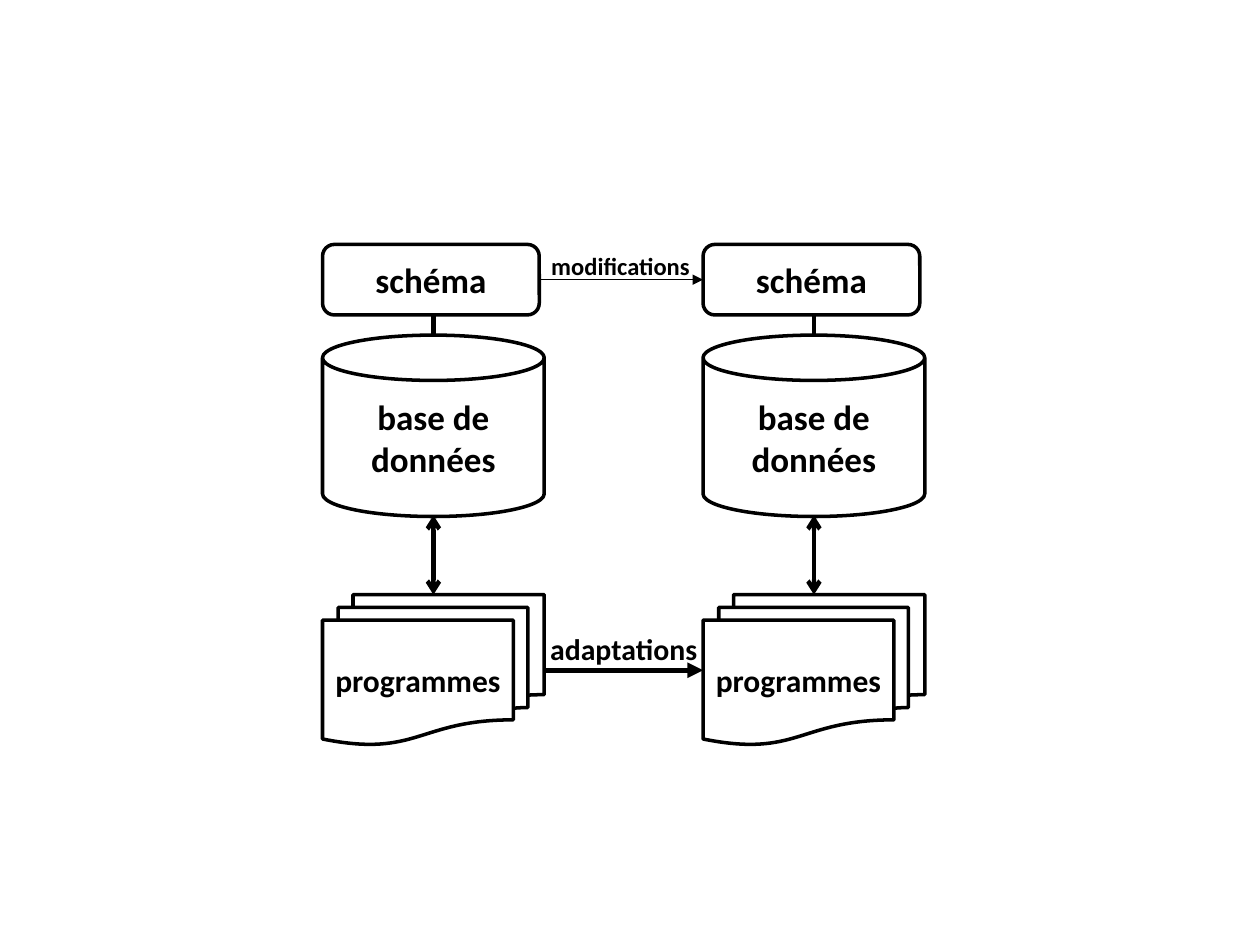
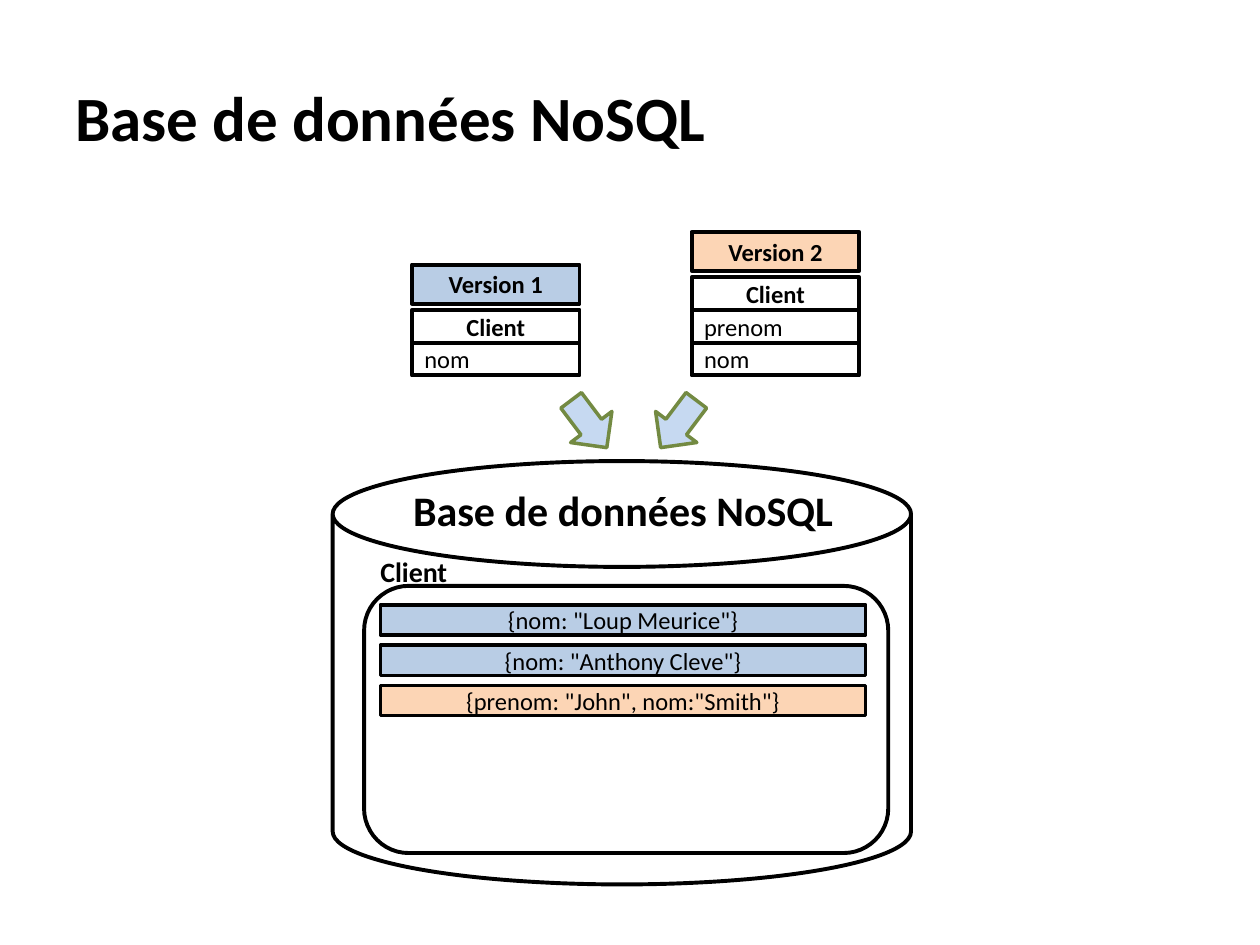
"""Build two slides on schema evolution and a NoSQL database."""
import dataclasses

import lxml.etree
import pptx
import pptx.dml.color
import pptx.enum.shapes
import pptx.enum.text
import pptx.oxml.ns
import pptx.util

Inches = pptx.util.Inches
Pt = pptx.util.Pt
Shape = pptx.enum.shapes.MSO_SHAPE
Align = pptx.enum.text.PP_ALIGN
Anchor = pptx.enum.text.MSO_ANCHOR


@dataclasses.dataclass(frozen=True)
class Theme:
    font: str = "Calibri"
    black: str = "000000"
    white: str = "FFFFFF"
    blue: str = "B9CDE5"
    orange: str = "FCD5B5"
    arrow_fill: str = "C6D9F1"
    arrow_line: str = "738A42"
    title_size: float = 36
    database_size: float = 24
    box_size: float = 20
    program_size: float = 18
    adaptation_size: float = 17
    collection_size: float = 16
    small_size: float = 14
    thin: float = 0.75
    outline: float = 2
    frame: float = 2.25
    link: float = 2.5
    bold_arrow: float = 3


class Deck:
    def __init__(self, theme):
        self.theme = theme
        self.presentation = pptx.Presentation()
        self.presentation.slide_width = Inches(10)
        self.presentation.slide_height = Inches(7.5)
        self.slide = None

    def new_slide(self):
        self.slide = self.presentation.slides.add_slide(self.presentation.slide_layouts[6])

    def add_label(self, shape, text, size, bold, align):
        paragraph = shape.text_frame.paragraphs[0]
        paragraph.alignment = align
        run = paragraph.add_run()
        run.text = text
        run.font.name = self.theme.font
        run.font.size = Pt(size)
        run.font.bold = bold
        run.font.color.rgb = pptx.dml.color.RGBColor.from_string(self.theme.black)

    def text(self, box, text, size, align=Align.LEFT, wrap=True, anchor=Anchor.TOP):
        shape = self.slide.shapes.add_textbox(*map(Inches, box))
        shape.text_frame.word_wrap = wrap
        shape.text_frame.vertical_anchor = anchor
        self.add_label(shape, text, size, True, align)

    def title(self, text):
        self.text((0.5, 0.3, 9, 1.25), text, self.theme.title_size, anchor=Anchor.MIDDLE)

    def shape(self, kind, box, fill=None, line=None, width=None, rotation=0):
        shape = self.slide.shapes.add_shape(kind, *map(Inches, box))
        shape.shadow.inherit = False
        shape.rotation = rotation
        if fill:
            shape.fill.solid()
            shape.fill.fore_color.rgb = pptx.dml.color.RGBColor.from_string(fill)
        else:
            shape.fill.background()
        shape.line.color.rgb = pptx.dml.color.RGBColor.from_string(line or self.theme.black)
        shape.line.width = Pt(width or self.theme.outline)
        return shape

    def box(self, kind, box, text, size, fill=None, width=None, bold=True, align=Align.CENTER):
        shape = self.shape(kind, box, fill or self.theme.white, width=width)
        frame = shape.text_frame
        frame.word_wrap = True
        frame.vertical_anchor = Anchor.MIDDLE
        if align == Align.CENTER:
            frame.margin_left = frame.margin_right = Inches(0.05)
        self.add_label(shape, text, size, bold, align)

    def connector(self, start, end, width, head=None, tail=None):
        connector = self.slide.shapes.add_connector(
            pptx.enum.shapes.MSO_CONNECTOR.STRAIGHT, *map(Inches, start + end))
        connector.line.color.rgb = pptx.dml.color.RGBColor.from_string(self.theme.black)
        connector.line.width = Pt(width)
        qn = pptx.oxml.ns.qn
        properties = connector.element.spPr
        line = properties.find(qn("a:ln"))
        for tag, style in (("a:headEnd", head), ("a:tailEnd", tail)):
            if style:
                lxml.etree.SubElement(line, qn(tag), type=style)
        lxml.etree.SubElement(properties, qn("a:effectLst"))

    def system(self, left):
        theme = self.theme
        middle = left + 0.88
        self.box(Shape.CAN, (left, 2.66, 1.76, 1.44), "base de données", theme.box_size)
        self.box(Shape.ROUNDED_RECTANGLE, (left, 1.94, 1.72, 0.56), "schéma", theme.box_size)
        self.box(Shape.FLOWCHART_MULTIDOCUMENT, (left, 4.72, 1.76, 1.19),
                 "programmes", theme.program_size)
        self.connector((middle, 2.51), (middle, 2.66), theme.link)
        self.connector((middle, 4.09), (middle, 4.72), theme.link, "arrow", "arrow")

    def version(self, left, name, fill, fields, row=0.26, bottom=2.98):
        theme = self.theme
        top = bottom - row * (len(fields) + 1)
        cells = [(top - 0.36, 0.31, name, fill, True), (top, row, "Client", theme.white, True)]
        cells += [(top + row * index, row, field, theme.white, False)
                  for index, field in enumerate(fields, 1)]
        for cell_top, height, text, color, heading in cells:
            self.box(Shape.RECTANGLE, (left, cell_top, 1.33, height), text, theme.small_size,
                     color, theme.frame, heading, Align.CENTER if heading else Align.LEFT)


def build_evolution(deck):
    theme = deck.theme
    deck.new_slide()
    deck.text((4.26, 4.96, 1.38, 0.39), "adaptations", theme.adaptation_size, Align.CENTER, False)
    for left in (2.56, 5.58):
        deck.system(left)
    deck.connector((4.28, 2.22), (5.58, 2.22), theme.thin, tail="triangle")
    deck.connector((4.32, 5.32), (5.58, 5.32), theme.bold_arrow, tail="triangle")
    deck.text((4.27, 1.94, 1.31, 0.34), "modifications", theme.small_size, Align.CENTER, False)


def build_nosql(deck):
    theme = deck.theme
    deck.new_slide()
    deck.title("Base de données NoSQL")
    deck.shape(Shape.CAN, (2.64, 3.66, 4.59, 3.36), width=theme.frame)
    deck.shape(Shape.ROUNDED_RECTANGLE, (2.89, 4.65, 4.16, 2.12), width=theme.frame)
    deck.text((2.92, 4.35, 1.62, 0.37), "Client", theme.collection_size)
    documents = (
        ('{nom: "Loup Meurice"}', theme.blue),
        ('{nom: "Anthony Cleve"}', theme.blue),
        ('{prenom: "John", nom:"Smith"}', theme.orange),
    )
    for index, (document, fill) in enumerate(documents):
        deck.box(Shape.RECTANGLE, (3.02, 4.8 + 0.32 * index, 3.85, 0.24), document,
                 theme.small_size, fill, bold=False)
    deck.version(3.27, "Version 1", theme.blue, ["nom"])
    deck.version(5.49, "Version 2", theme.orange, ["prenom", "nom"])
    for left, rotation in ((5.18, 37), (4.47, 323)):
        deck.shape(Shape.DOWN_ARROW, (left, 3.13, 0.41, 0.47), theme.arrow_fill,
                   theme.arrow_line, rotation=rotation)
    deck.text((3.18, 3.8, 3.87, 0.5), "Base de données NoSQL", theme.database_size)


def main():
    deck = Deck(Theme())
    build_evolution(deck)
    build_nosql(deck)
    deck.presentation.save("out.pptx")


if __name__ == "__main__":
    main()
